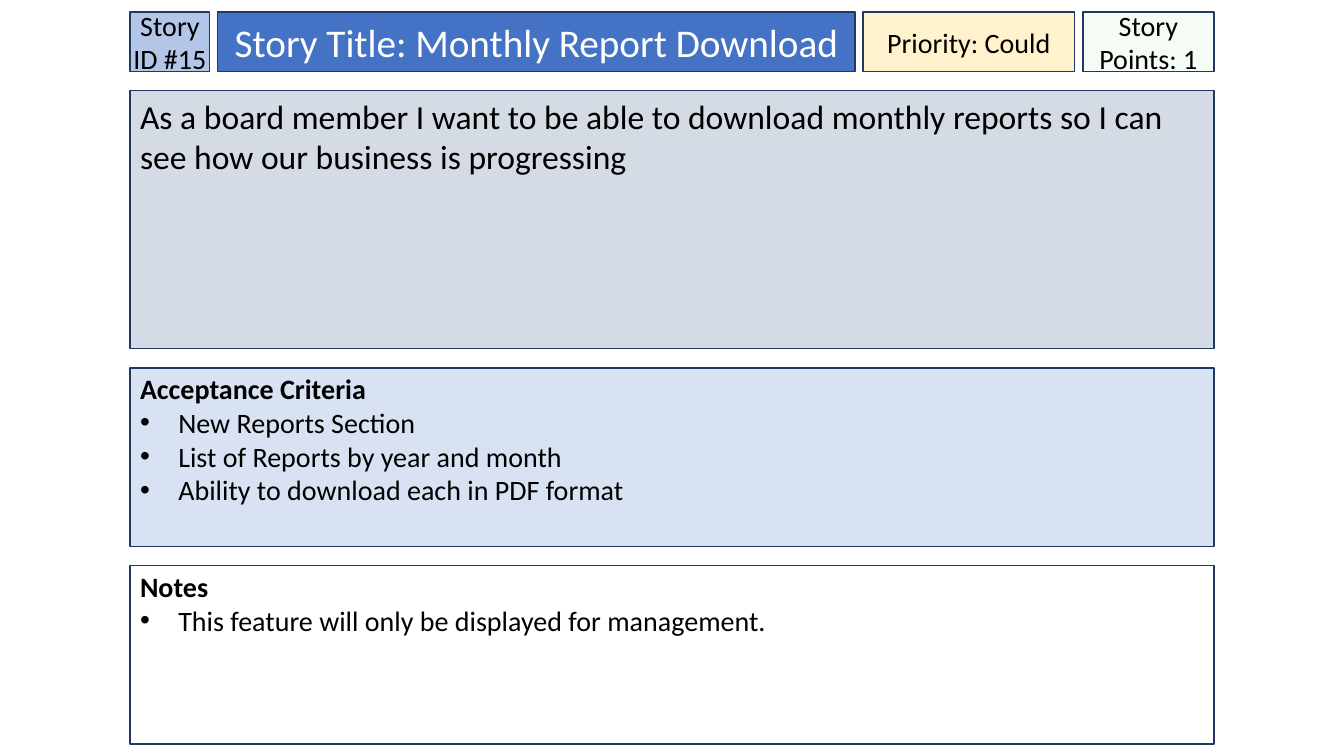
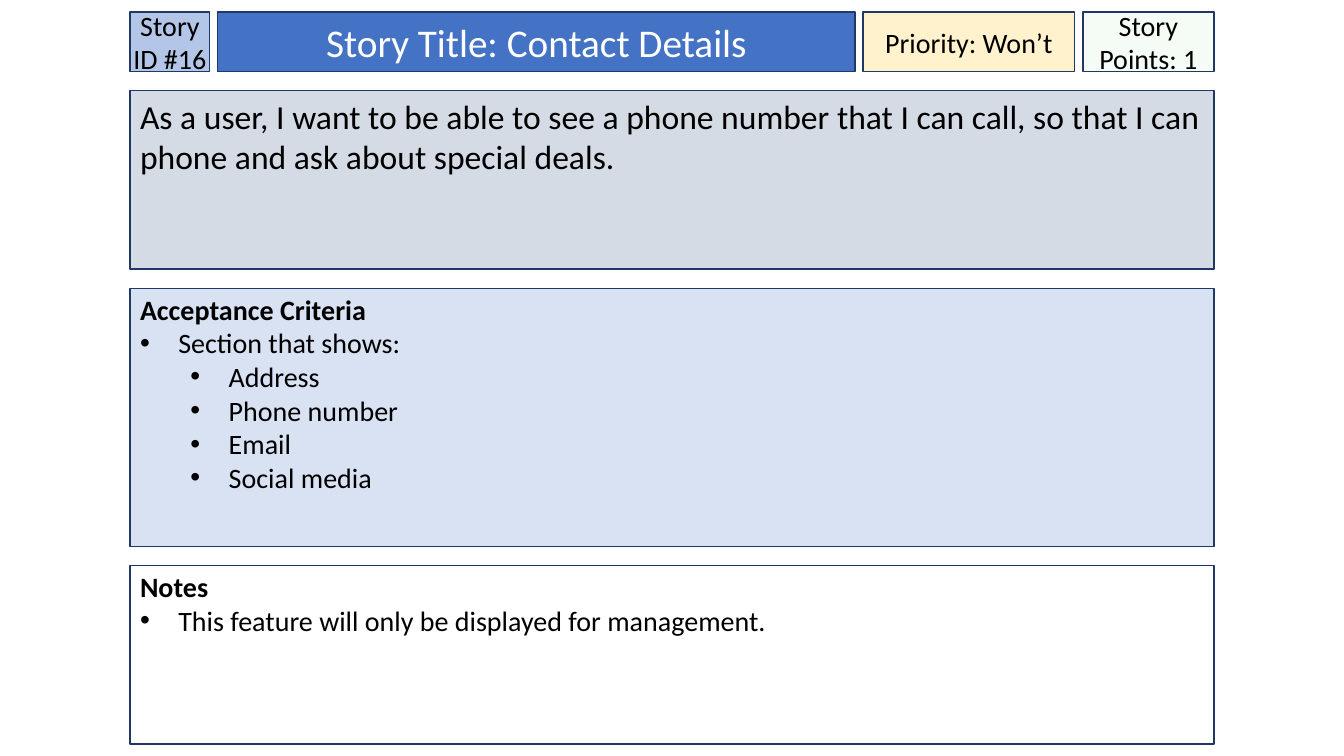
from lxml import etree
from pptx import Presentation
from pptx.dml.color import RGBColor
from pptx.enum.shapes import MSO_SHAPE
from pptx.enum.text import MSO_ANCHOR, PP_ALIGN
from pptx.oxml.ns import qn
from pptx.util import Pt

RECT = MSO_SHAPE.RECTANGLE
TOP, MIDDLE = MSO_ANCHOR.TOP, MSO_ANCHOR.MIDDLE
LEFT, CENTER = PP_ALIGN.LEFT, PP_ALIGN.CENTER

PX = 9144  # EMU per px, 100 px to the inch
FONT = "Calibri"

BLACK = RGBColor(0x00, 0x00, 0x00)
WHITE = RGBColor(0xFF, 0xFF, 0xFF)
NAVY = RGBColor(0x1F, 0x38, 0x64)
BLUE = RGBColor(0x44, 0x72, 0xC4)
SKY = RGBColor(0xB3, 0xC6, 0xE7)
PALE = RGBColor(0xD8, 0xE2, 0xF3)
GREY = RGBColor(0xD5, 0xDB, 0xE5)
CREAM = RGBColor(0xFF, 0xF2, 0xCC)
GREEN = RGBColor(0xCC, 0xF0, 0xCD)

# Card layout
EDGE, WIDTH = 129, 1075
HEAD_TOP, HEAD_HIGH, HEAD_GAP = 12, 59, 8
BODY_TOP, BODY_GAP = 90, 19
SHORT, TALL = 177, 256
INDENT, STEP = 38, 50

NOTES = [(0, "This feature will only be displayed for management.")]
STORIES = [
    {
        "id": 15,
        "title": "Monthly Report Download",
        "rank": "Could",
        "points": 1,
        "story": "As a board member I want to be able to download monthly "
                 "reports so I can see how our business is progressing",
        "tests": [
            (0, "New Reports Section"),
            (0, "List of Reports by year and month"),
            (0, "Ability to download each in PDF format"),
        ],
        "highs": (TALL, SHORT, SHORT),
    },
    {
        "id": 16,
        "title": "Contact Details",
        "rank": "Won’t",
        "points": 1,
        "story": "As a user, I want to be able to see a phone number that I "
                 "can call, so that I can phone and ask about special deals.",
        "tests": [
            (0, "Section that shows:"),
            (1, "Address"),
            (1, "Phone number"),
            (1, "Email"),
            (1, "Social media"),
        ],
        "highs": (SHORT, TALL, SHORT),
    },
]


def add_box(slide, x, y, w, h, fill, side=10, top=5, anchor=TOP, alpha=None):
    """Add an outlined box and return its text frame."""
    box = slide.shapes.add_shape(RECT, x * PX, y * PX, w * PX, h * PX)
    box.shadow.inherit = False
    box.fill.solid()
    box.fill.fore_color.rgb = fill
    if alpha:
        tint = box.fill._xPr.find(qn("a:solidFill"))[0]
        etree.SubElement(tint, qn("a:alpha"), val=str(alpha * 1000))
    box.line.color.rgb = NAVY
    box.line.width = Pt(1)
    frame = box.text_frame
    frame.word_wrap = True
    frame.vertical_anchor = anchor
    frame.margin_left = frame.margin_right = side * PX
    frame.margin_top, frame.margin_bottom = top * PX, 5 * PX
    return frame


def write(para, text, size, color=BLACK, bold=False, align=LEFT):
    para.text = text
    para.alignment = align
    for run in para.runs:
        font = run.font
        font.name, font.size, font.bold = FONT, Pt(size), bold
        font.color.rgb = color


def add_bullet(para, level):
    para.level = level
    props = para._p.get_or_add_pPr()
    props.set("marL", str((INDENT + level * STEP) * PX))
    props.set("indent", str(-INDENT * PX))
    tint = etree.SubElement(props, qn("a:buClr"))
    etree.SubElement(tint, qn("a:srgbClr"), val=str(BLACK))
    etree.SubElement(props, qn("a:buFont"), typeface="Arial")
    etree.SubElement(props, qn("a:buChar"), char="•")


def add_header(slide, card):
    """Lay the header cells out from left to right."""
    cells = [  # text, width, fill, side margin, size, colour, alpha
        (f"Story ID #{card['id']}", 79, SKY, 0, 20, BLACK, None),
        (f"Story Title: {card['title']}", 632, BLUE, 10, 28, WHITE, None),
        (f"Priority: {card['rank']}", 210, CREAM, 0, 20, BLACK, None),
        (f"Story Points: {card['points']}", 130, GREEN, 0, 20, BLACK, 20),
    ]
    x = EDGE
    for text, wide, fill, side, size, color, alpha in cells:
        frame = add_box(slide, x, HEAD_TOP, wide, HEAD_HIGH, fill,
                        side=side, anchor=MIDDLE, alpha=alpha)
        write(frame.paragraphs[0], text, size, color, align=CENTER)
        x += wide + HEAD_GAP


def add_list(slide, y, high, fill, title, items):
    frame = add_box(slide, EDGE, y, WIDTH, high, fill, top=4)
    write(frame.paragraphs[0], title, 20, bold=True)
    for level, text in items:
        para = frame.add_paragraph()
        add_bullet(para, level)
        write(para, text, 20)


def add_card(slide, card):
    add_header(slide, card)

    # Story text
    first, second, third = card["highs"]
    y = BODY_TOP
    frame = add_box(slide, EDGE, y, WIDTH, first, GREY)
    write(frame.paragraphs[0], card["story"], 24)

    # Criteria and notes
    y += first + BODY_GAP
    add_list(slide, y, second, PALE, "Acceptance Criteria", card["tests"])
    y += second + BODY_GAP
    add_list(slide, y, third, WHITE, "Notes", NOTES)


def main():
    deck = Presentation()
    deck.slide_width, deck.slide_height = 1333 * PX, 750 * PX
    blank = deck.slide_layouts[6]
    for card in STORIES:
        add_card(deck.slides.add_slide(blank), card)
    deck.save("out.pptx")


if __name__ == "__main__":
    main()
